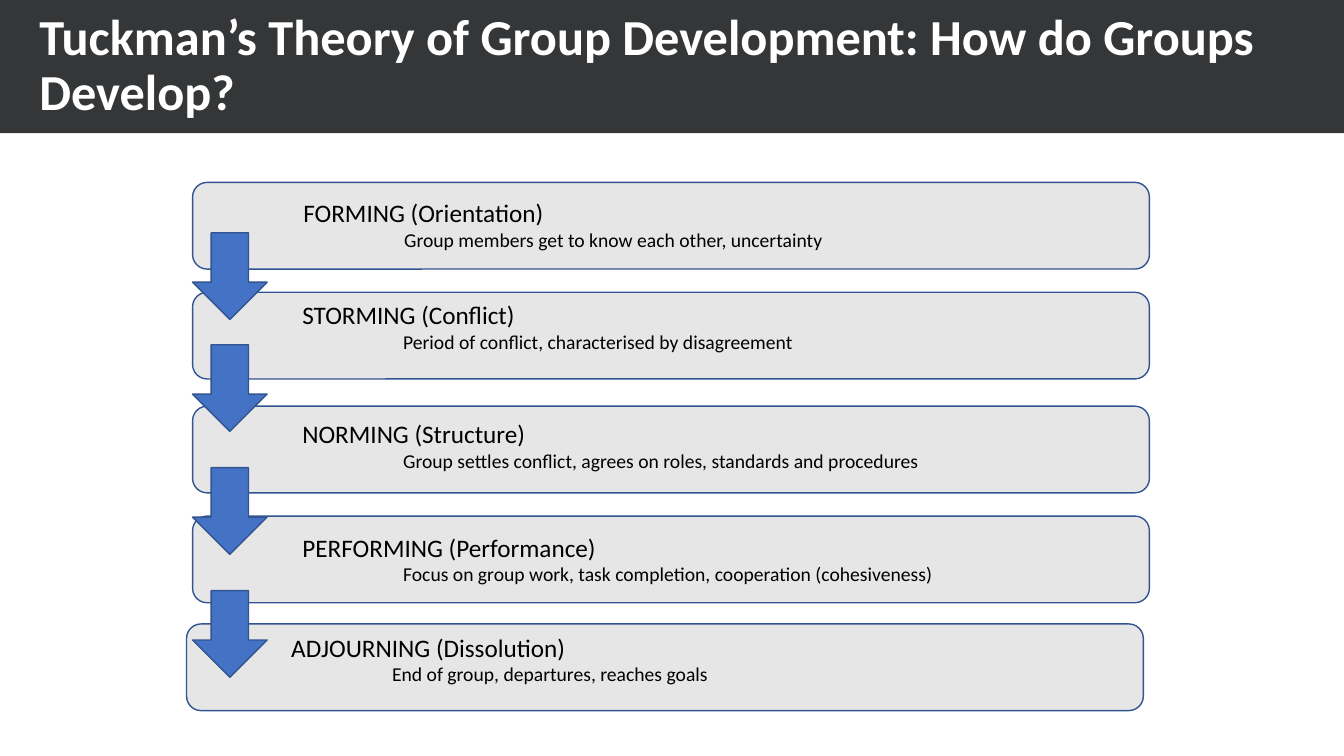
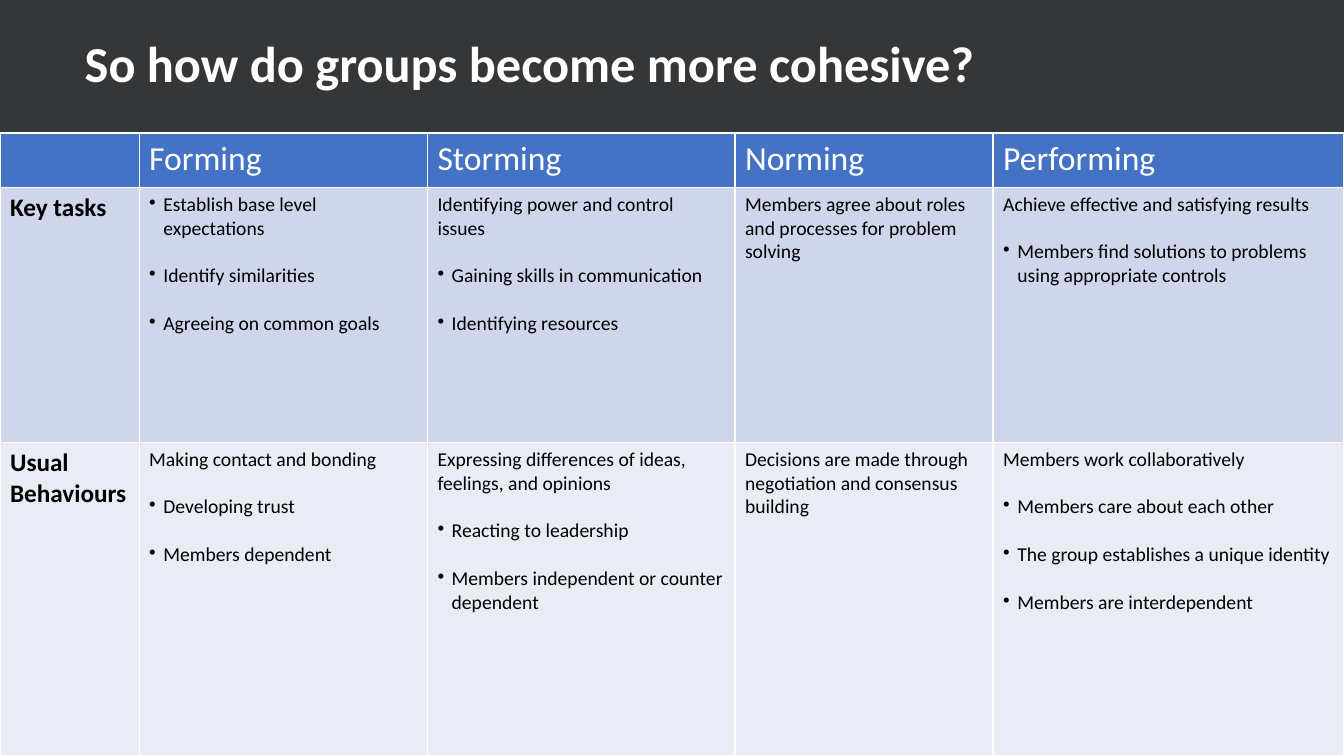
"""Build two slides on Tuckman's stages of group development."""
from dataclasses import dataclass

import pptx
import pptx.dml.color
import pptx.enum.shapes
import pptx.enum.text
import pptx.oxml
import pptx.oxml.ns
import pptx.util
from pptx.util import Inches

SHAPES = pptx.enum.shapes.MSO_SHAPE


@dataclass(frozen=True)
class Theme:
    font: str = "Calibri"
    band: str = "343638"
    accent: str = "4472C4"
    outline: str = "325491"
    stage: str = "E7E6E6"
    light: str = "FFFFFF"
    dark: str = "000000"
    rows: tuple = ("CFD5EA", "E9EBF5")
    title_size: int = 36
    header_size: int = 24
    label_size: int = 18
    body_size: int = 14
    item_gap: int = 17


THEME = Theme()
SLIDE_WIDTH, SLIDE_HEIGHT, BAND_HEIGHT = 13.33, 7.5, 1.32
STAGE_LEFT, STAGE_WIDTH, STAGE_HEIGHT = 1.91, 9.49, 0.86
ARROW_WIDTH = 0.74
ARROW_TOPS = (2.31, 3.42, 4.64, 5.86)

# Each stage: bar left, bar top, text left, text top, name, description.
STAGES = (
    (1.91, 1.81, 2.91, 1.91, "FORMING (Orientation)",
     "Group members get to know each other, uncertainty"),
    (1.91, 2.9, 2.9, 2.92, "STORMING (Conflict)",
     "Period of conflict, characterised by disagreement"),
    (1.91, 4.03, 2.9, 4.1, "NORMING (Structure)",
     "Group settles conflict, agrees on roles, standards and procedures"),
    (1.91, 5.12, 2.9, 5.23, "PERFORMING (Performance)",
     "Focus on group work, task completion, cooperation (cohesiveness)"),
    (1.85, 6.19, 2.79, 6.22, "ADJOURNING (Dissolution)",
     "End of group, departures, reaches goals"),
)

COLUMN_WIDTHS = (1.38, 2.86, 3.05, 2.56, 3.48)
ROW_HEIGHTS = (0.54, 2.53, 3.11)
HEADERS = ("", "Forming", "Storming", "Norming", "Performing")
TABLE_ROWS = (
    ("Key tasks", (
        (("• Establish base level expectations"), "• Identify similarities",
         "• Agreeing on common goals"),
        ("Identifying power and control issues",
         "• Gaining skills in communication", "• Identifying resources"),
        ("Members agree about roles", "and processes for problem solving"),
        ("Achieve effective and satisfying results",
         "• Members find solutions to problems using appropriate controls"),
    )),
    ("Usual Behaviours", (
        ("Making contact and bonding", "• Developing trust",
         "• Members dependent"),
        ("Expressing differences of ideas, feelings, and opinions",
         "• Reacting to leadership",
         "• Members independent or counter dependent"),
        ("Decisions are made through", "negotiation and consensus building"),
        ("Members work collaboratively", "• Members care about each other",
         "• The group establishes a unique identity",
         "• Members are interdependent"),
    )),
)


def rgb(value):
    """Return a colour object for a hex value."""
    return pptx.dml.color.RGBColor.from_string(value)


def style(para, size, color, bold=False):
    """Format every run of a paragraph."""
    for span in para.runs:
        span.font.name = THEME.font
        span.font.size = pptx.util.Pt(size)
        span.font.bold = bold
        span.font.color.rgb = rgb(color)


def indent(para, left, first=0):
    """Set the left margin and first-line indent of a paragraph."""
    properties = para._p.get_or_add_pPr()
    properties.set("marL", str(Inches(left)))
    properties.set("indent", str(Inches(first)))
    return properties


def add_preset(slide, preset, left, top, width, height, fill, line=None):
    """Add a flat preset shape with an optional outline."""
    shape = slide.shapes.add_shape(
        preset, Inches(left), Inches(top), Inches(width), Inches(height))
    shape.shadow.inherit = False
    shape.fill.solid()
    shape.fill.fore_color.rgb = rgb(fill)
    if line:
        shape.line.color.rgb = rgb(line)
        shape.line.width = pptx.util.Pt(1)
    else:
        shape.line.fill.background()
    return shape


def add_layout_band(slide):
    """Place the dark title band on the layout of a slide."""
    band = add_preset(slide, SHAPES.RECTANGLE, 0, 0, SLIDE_WIDTH, BAND_HEIGHT,
                      THEME.band)
    slide.slide_layout.shapes.element.insert(2, band.element)


def add_titled_slide(deck, text, left):
    """Add a slide whose title sits in the band."""
    slide = deck.slides.add_slide(deck.slide_layouts[5])
    title = slide.shapes.title
    title.left, title.top = Inches(left), Inches(0)
    title.width, title.height = Inches(SLIDE_WIDTH - left), Inches(BAND_HEIGHT)
    frame = title.text_frame
    frame.text = text
    frame.word_wrap = True
    frame.auto_size = pptx.enum.text.MSO_AUTO_SIZE.NONE
    frame.vertical_anchor = pptx.enum.text.MSO_ANCHOR.MIDDLE
    para = frame.paragraphs[0]
    para.alignment = pptx.enum.text.PP_ALIGN.LEFT
    para.line_spacing = 0.9
    style(para, THEME.title_size, THEME.light, bold=True)
    return slide


def add_stage_text(slide, left, top, name, description):
    """Add a stage name with its indented description."""
    box = slide.shapes.add_textbox(
        Inches(left), Inches(top), Inches(8.18), Inches(0.71))
    frame = box.text_frame
    frame.word_wrap = True
    frame.text = name
    style(frame.paragraphs[0], THEME.label_size, THEME.dark)
    para = frame.add_paragraph()
    para.text = description
    indent(para, 1)
    style(para, THEME.body_size, THEME.dark)


def add_stages(slide):
    """Draw the stage bars, the arrows between them and their texts."""
    for left, top, *_ in STAGES:
        add_preset(slide, SHAPES.ROUNDED_RECTANGLE, left, top, STAGE_WIDTH,
                   STAGE_HEIGHT, THEME.stage, THEME.outline)
    for top in ARROW_TOPS:
        add_preset(slide, SHAPES.DOWN_ARROW, STAGE_LEFT, top, ARROW_WIDTH,
                   STAGE_HEIGHT, THEME.accent, THEME.outline)
    for _, _, left, top, name, description in STAGES:
        add_stage_text(slide, left, top, name, description)


def format_cell(cell, fill):
    """Give a cell thin white borders and a solid fill."""
    properties = cell._tc.get_or_add_tcPr()
    for side in ("lnL", "lnR", "lnT", "lnB"):
        properties.append(pptx.oxml.parse_xml(
            f'<a:{side} {pptx.oxml.ns.nsdecls("a")} w="12700"><a:solidFill>'
            f'<a:srgbClr val="{THEME.light}"/></a:solidFill></a:{side}>'))
    cell.fill.solid()
    cell.fill.fore_color.rgb = rgb(fill)


def fill_label(cell, text, size, color, bold=False):
    """Write a single heading into a cell."""
    cell.text_frame.text = text
    style(cell.text_frame.paragraphs[0], size, color, bold)


def fill_items(cell, items):
    """Write plain lines and bulleted items into a cell."""
    frame = cell.text_frame
    for index, item in enumerate(items):
        para = frame.add_paragraph() if index else frame.paragraphs[0]
        para.text = item.removeprefix("• ")
        if item.startswith("• "):
            properties = indent(para, 0.14, -0.14)
            properties.append(pptx.oxml.parse_xml(
                f'<a:buChar {pptx.oxml.ns.nsdecls("a")} char="•"/>'))
            if index:
                para.space_before = pptx.util.Pt(THEME.item_gap)
        style(para, THEME.body_size, THEME.dark)


def add_cohesion_table(slide):
    """Add the table of tasks and behaviours by stage."""
    table = slide.shapes.add_table(
        len(ROW_HEIGHTS), len(COLUMN_WIDTHS), Inches(0), Inches(BAND_HEIGHT),
        Inches(SLIDE_WIDTH), Inches(sum(ROW_HEIGHTS))).table
    table.horz_banding = False
    for column, width in zip(table.columns, COLUMN_WIDTHS):
        column.width = Inches(width)
    fills = (THEME.accent, *THEME.rows)
    for row, height, fill in zip(table.rows, ROW_HEIGHTS, fills):
        row.height = Inches(height)
        for cell in row.cells:
            format_cell(cell, fill)
    for index, header in enumerate(HEADERS):
        fill_label(table.cell(0, index), header, THEME.header_size, THEME.light)
    for row_index, (label, groups) in enumerate(TABLE_ROWS, 1):
        fill_label(table.cell(row_index, 0), label, THEME.label_size,
                   THEME.dark, bold=True)
        for index, items in enumerate(groups, 1):
            fill_items(table.cell(row_index, index), items)


def main():
    """Build and save the deck."""
    deck = pptx.Presentation()
    deck.slide_width = Inches(SLIDE_WIDTH)
    deck.slide_height = Inches(SLIDE_HEIGHT)
    stages = add_titled_slide(
        deck, "Tuckman’s Theory of Group Development: How do Groups Develop?",
        0.29)
    add_layout_band(stages)
    add_stages(stages)
    cohesion = add_titled_slide(
        deck, "So how do groups become more cohesive?", 0.74)
    add_cohesion_table(cohesion)
    deck.save("out.pptx")


if __name__ == "__main__":
    main()
